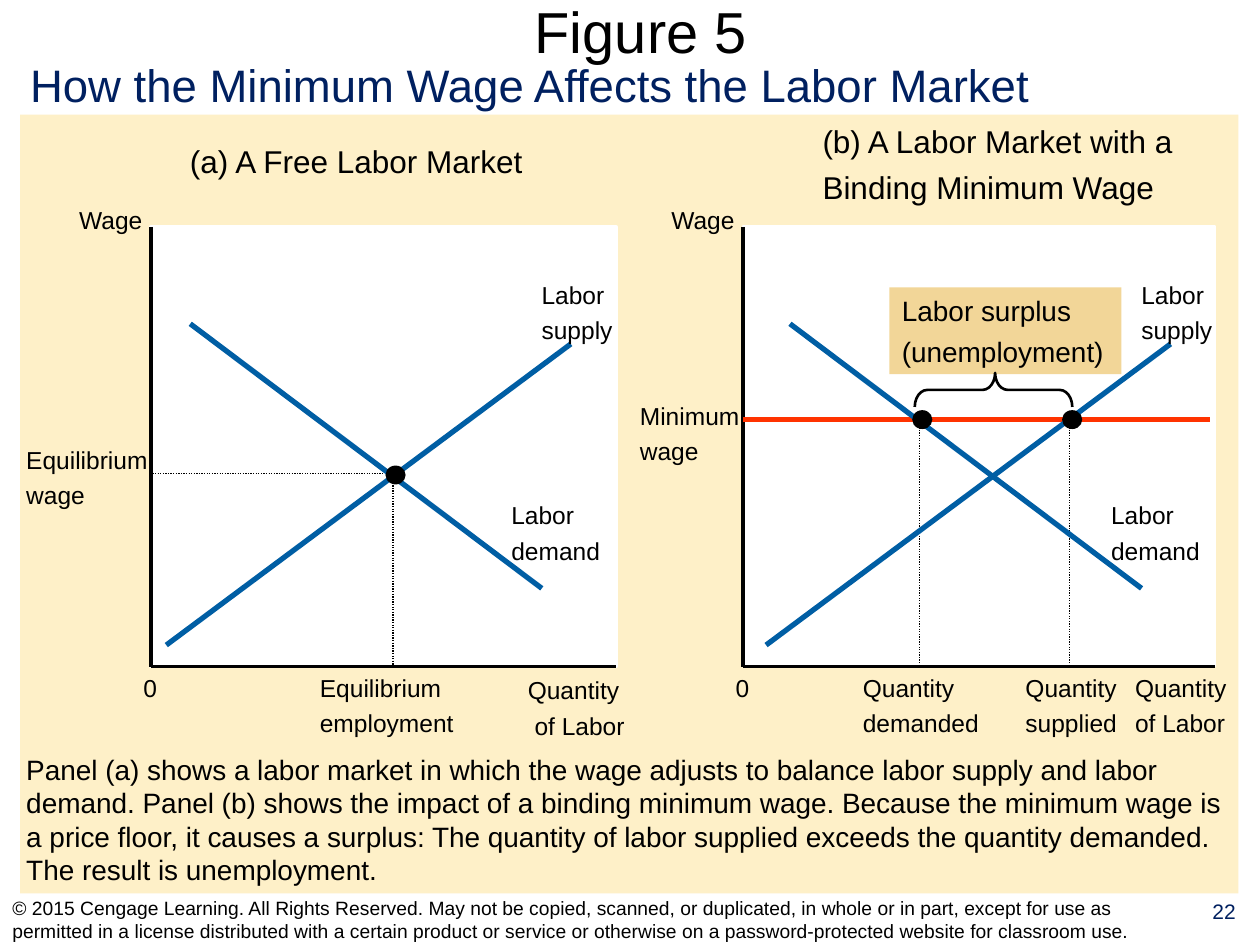
from lxml.etree import SubElement
from pptx import Presentation
from pptx.dml.color import RGBColor
from pptx.enum.dml import MSO_LINE as Dash
from pptx.enum.shapes import MSO_CONNECTOR as Connector, MSO_SHAPE as Shape
from pptx.enum.text import MSO_ANCHOR as Anchor, MSO_AUTO_SIZE as AutoSize, PP_ALIGN as Align
from pptx.oxml.ns import qn
from pptx.util import Inches, Pt

BLACK = RGBColor(0x00, 0x00, 0x00)
WHITE = RGBColor(0xFF, 0xFF, 0xFF)
NAVY = RGBColor(0x00, 0x20, 0x60)
BLUE = RGBColor(0x00, 0x5E, 0xA4)
RED = RGBColor(0xFF, 0x33, 0x00)
CREAM = RGBColor(0xFE, 0xF0, 0xC8)
TAN = RGBColor(0xF2, 0xD6, 0x98)

AXIS_BOTTOM = 5.29
MINIMUM_WAGE = 3.33
DOT_WIDTH, DOT_HEIGHT = 0.16, 0.15
PANEL_STEP = 4.76

EXPLANATION = (
    "Panel (a) shows a labor market in which the wage adjusts to balance labor supply and labor "
    "demand. Panel (b) shows the impact of a binding minimum wage. Because the minimum wage is "
    "a price floor, it causes a surplus: The quantity of labor supplied exceeds the quantity "
    "demanded. The result is unemployment."
)
COPYRIGHT = (
    "© 2015 Cengage Learning. All Rights Reserved. May not be copied, scanned, or duplicated, "
    "in whole or in part, except for use as permitted in a license distributed with a certain "
    "product or service or otherwise on a password-protected website for classroom use."
)


def write(box, lines, size, color=BLACK, align=Align.LEFT, anchor=Anchor.TOP, wrap=True):
    """Fill a box with one paragraph per line, a quarter of the size apart."""
    frame = box.text_frame
    frame.word_wrap = wrap
    frame.auto_size = AutoSize.NONE if wrap else AutoSize.SHAPE_TO_FIT_TEXT
    frame.vertical_anchor = anchor
    for index, line in enumerate(lines):
        para = frame.add_paragraph() if index else frame.paragraphs[0]
        para.text = line
        para.alignment = align
        para.space_before = Pt(size / 4 if index else 0)
        para.font.name = "Arial"
        para.font.size = Pt(size)
        para.font.color.rgb = color


def add_text(slide, left, top, width, height, lines, size, **style):
    """Add a text box."""
    box = slide.shapes.add_textbox(Inches(left), Inches(top), Inches(width), Inches(height))
    write(box, lines, size, **style)


def add_label(slide, left, top, width, *lines):
    """Add an unwrapped diagram label."""
    add_text(slide, left, top, width, 0.06 + 0.28 * len(lines), lines, 14, wrap=False)


def add_block(slide, kind, left, top, width, height, fill):
    """Add a filled preset shape without outline."""
    block = slide.shapes.add_shape(kind, Inches(left), Inches(top), Inches(width), Inches(height))
    block.shadow.inherit = False
    block.fill.solid()
    block.fill.fore_color.rgb = fill
    block.line.fill.background()
    return block


def add_line(slide, start, end, color=BLACK, weight=2.25, dash=None):
    """Add a straight line between two points."""
    line = slide.shapes.add_connector(Connector.STRAIGHT, *map(Inches, start + end))
    line.line.color.rgb = color
    line.line.width = Pt(weight)
    if dash:
        line.line.dash_style = dash
    SubElement(line._element.spPr, qn("a:effectLst"))


def add_guide(slide, start, end):
    """Add a dotted guide line."""
    add_line(slide, start, end, weight=0.75, dash=Dash.ROUND_DOT)


def add_dot(slide, x, y):
    """Mark a point on the diagram."""
    add_block(slide, Shape.OVAL, x - DOT_WIDTH / 2, y - DOT_HEIGHT / 2, DOT_WIDTH, DOT_HEIGHT, BLACK)


def add_axes(slide, left, width):
    """Add the white plot area, its two axes and their end labels."""
    plot = add_block(slide, Shape.RECTANGLE, left, 1.8, width, AXIS_BOTTOM - 1.8, WHITE)
    plot.line.color.rgb = WHITE
    plot.line.width = Pt(2)
    add_line(slide, (left, 1.8), (left, AXIS_BOTTOM))
    add_line(slide, (left, AXIS_BOTTOM), (left + width, AXIS_BOTTOM))
    add_label(slide, left - 0.67, 1.58, 0.73, "Wage")
    add_label(slide, left - 0.16, AXIS_BOTTOM, 0.33, "0")


def add_curves(slide, shift):
    """Add the labelled demand and supply curves."""
    add_line(slide, (1.51 + shift, 2.57), (4.3 + shift, 4.67), BLUE, 3)
    add_label(slide, 3.96 + shift, 3.92, 0.94, "Labor", "demand")
    add_line(slide, (1.32 + shift, 5.12), (4.53 + shift, 2.73), BLUE, 3)
    add_label(slide, 4.2 + shift, 2.17, 0.84, "Labor", "supply")


def add_surplus(slide):
    """Add the surplus note with the brace below it."""
    note = add_block(slide, Shape.RECTANGLE, 7.06, 2.28, 1.84, 0.69, TAN)
    write(note, ["Labor surplus", "(unemployment)"], 16)
    brace = slide.shapes.add_shape(
        Shape.LEFT_BRACE, Inches(7.75), Inches(2.47), Inches(0.27), Inches(1.25))
    brace.rotation = 90
    brace.adjustments[0] = 0.37
    brace.adjustments[1] = 0.49
    brace.shadow.inherit = False
    brace.fill.background()
    brace.line.color.rgb = BLACK
    brace.line.width = Pt(1.5)


def add_free_market(slide):
    """Add panel (a)."""
    add_text(slide, 1.41, 1.08, 2.9, 0.4, ["(a) A Free Labor Market"], 18, wrap=False)
    add_axes(slide, 1.2, 3.69)
    add_label(slide, 4.09, 5.31, 0.99, "Quantity", " of Labor")
    add_guide(slide, (3.12, 3.77), (3.12, AXIS_BOTTOM))
    add_label(slide, 2.44, AXIS_BOTTOM, 1.28, "Equilibrium", "employment")
    add_guide(slide, (1.21, 3.76), (3.04, 3.76))
    add_label(slide, 0.11, 3.48, 1.2, "Equilibrium", "wage")
    add_curves(slide, 0)
    add_dot(slide, 3.14, 3.77)


def add_minimum_wage_market(slide):
    """Add panel (b)."""
    heading = ["(b) A Labor Market with a", "Binding Minimum Wage"]
    add_text(slide, 6.43, 0.92, 3.1, 0.77, heading, 18, wrap=False)
    add_axes(slide, 5.9, 3.74)
    add_label(slide, 8.91, AXIS_BOTTOM, 0.99, "Quantity", "of Labor")
    add_line(slide, (5.9, MINIMUM_WAGE), (9.6, MINIMUM_WAGE), RED, 3)
    add_label(slide, 4.98, 3.13, 1.02, "Minimum", "wage")
    quantities = ((7.3, 6.75, 1.14, "demanded"), (8.49, 8.04, 0.96, "supplied"))
    for x, left, width, word in quantities:
        add_guide(slide, (x, MINIMUM_WAGE), (x, AXIS_BOTTOM))
        add_label(slide, left, AXIS_BOTTOM, width, "Quantity", word)
    add_surplus(slide)
    add_curves(slide, PANEL_STEP)
    for x, *_ in quantities:
        add_dot(slide, x + 0.02, MINIMUM_WAGE)


def main():
    """Build the slide and save the deck."""
    deck = Presentation()
    deck.slide_width, deck.slide_height = Inches(10), Inches(7.5)
    slide = deck.slides.add_slide(deck.slide_layouts[6])
    add_block(slide, Shape.RECTANGLE, 0.16, 0.91, 9.67, 6.18, CREAM)
    add_text(slide, 0.35, 0, 9.47, 0.49, ["Figure 5"], 33, align=Align.CENTER, anchor=Anchor.MIDDLE)
    add_text(slide, 0.14, 0.4, 8.18, 0.54, ["How the Minimum Wage Affects the Labor Market"], 26,
             color=NAVY, wrap=False)
    add_free_market(slide)
    add_minimum_wage_market(slide)
    add_text(slide, 0.11, 5.92, 9.78, 1.17, [EXPLANATION], 16)
    add_text(slide, 0, 7.1, 9.42, 0.4, [COPYRIGHT], 11, anchor=Anchor.MIDDLE)
    add_text(slide, 9.43, 7.08, 0.57, 0.41, ["22"], 12, color=NAVY, align=Align.CENTER)
    deck.save("out.pptx")


if __name__ == "__main__":
    main()
